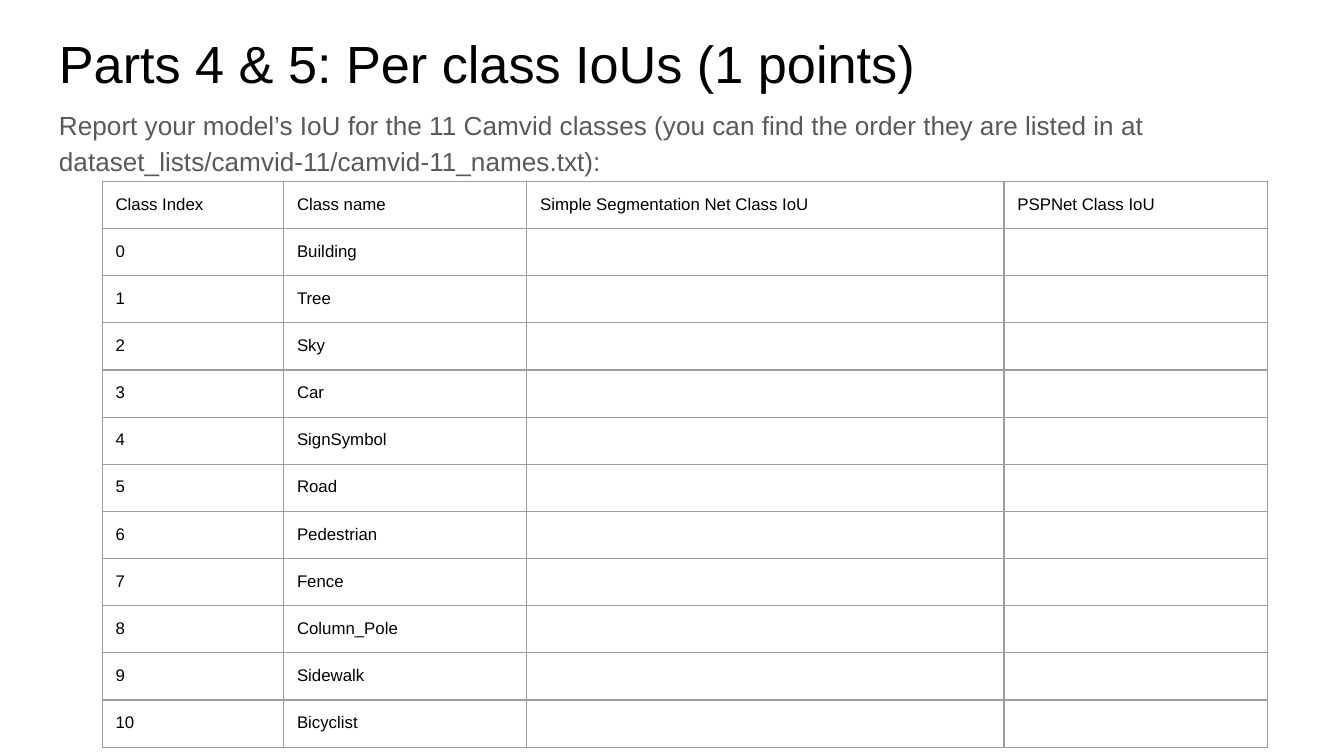
"""Build the slide with the per class IoU table."""
from lxml import etree
from pptx import Presentation
from pptx.dml.color import RGBColor
from pptx.oxml import ns
from pptx.util import Inches, Pt

FONT = "Arial"
INK = {"title": "000000", "body": "595959", "cell": "000000", "rule": "9E9E9E"}
BOXES = [
    ("title", "Parts 4 & 5: Per class IoUs (1 points)", 0.13, 0.63, 28, 1),
    ("body", "Report your model’s IoU for the 11 Camvid classes (you can find the "
     "order they are listed in at dataset_lists/camvid-11/camvid-11_names.txt):",
     0.68, 0.72, 14, 1.15),
]
HEADS = ["Class Index", "Class name", "Simple Segmentation Net Class IoU",
         "PSPNet Class IoU"]
NAMES = ["Building", "Tree", "Sky", "Car", "SignSymbol", "Road", "Pedestrian",
         "Fence", "Column_Pole", "Sidewalk", "Bicyclist"]
WIDTHS = [1.35, 1.81, 3.55, 1.96]
WIDE, ROW, HIGH, PAD, SIZE = 10, 0.3, 4.2, 0.1, 9


def write(para, words, size, tone):
    """Add one styled run."""
    run = para.add_run()
    run.text = words
    run.font.name = FONT
    run.font.size = Pt(size)
    run.font.color.rgb = RGBColor.from_string(INK[tone])


def pad(item):
    """Set the inner margins of a frame or cell."""
    item.margin_left = item.margin_right = Inches(PAD)
    item.margin_top = item.margin_bottom = Inches(PAD)


def edge(cell):
    """Draw the four borders of a cell."""
    props = cell._tc.get_or_add_tcPr()
    for spot, side in enumerate(("lnL", "lnR", "lnT", "lnB")):
        line = etree.Element(ns.qn("a:" + side), w=str(Pt(0.75)))
        fill = etree.SubElement(line, ns.qn("a:solidFill"))
        etree.SubElement(fill, ns.qn("a:srgbClr"), val=INK["rule"])
        props.insert(spot, line)


def main():
    """Lay out the slide and save it."""
    deck = Presentation()
    deck.slide_width, deck.slide_height = Inches(WIDE), Inches(WIDE * 9 / 16)
    slide = deck.slides.add_slide(deck.slide_layouts[6])

    for tone, words, top, high, size, space in BOXES:
        box = slide.shapes.add_textbox(
            Inches(0.34), Inches(top), Inches(9.32), Inches(high))
        frame = box.text_frame
        frame.word_wrap = True
        pad(frame)
        para = frame.paragraphs[0]
        para.line_spacing = space
        write(para, words, size, tone)

    rows = [HEADS] + [[str(i), name, "", ""] for i, name in enumerate(NAMES)]
    grid = slide.shapes.add_table(
        len(rows), len(WIDTHS), Inches(0.76), Inches(1.35),
        Inches(sum(WIDTHS)), Inches(HIGH))
    table = grid.table
    table.first_row = table.horz_banding = False
    for col, wide in zip(table.columns, WIDTHS):
        col.width = Inches(wide)
    for line, row in zip(table.rows, rows):
        line.height = Inches(ROW)
        for cell, words in zip(line.cells, row):
            pad(cell)
            cell.fill.background()
            edge(cell)
            para = cell.text_frame.paragraphs[0]
            if words:
                write(para, words, SIZE, "cell")
            else:
                end = etree.SubElement(
                    para._p, ns.qn("a:endParaRPr"), sz=str(SIZE * 100))
                etree.SubElement(end, ns.qn("a:latin"), typeface=FONT)
    grid.height = Inches(HIGH)

    deck.save("out.pptx")


if __name__ == "__main__":
    main()
